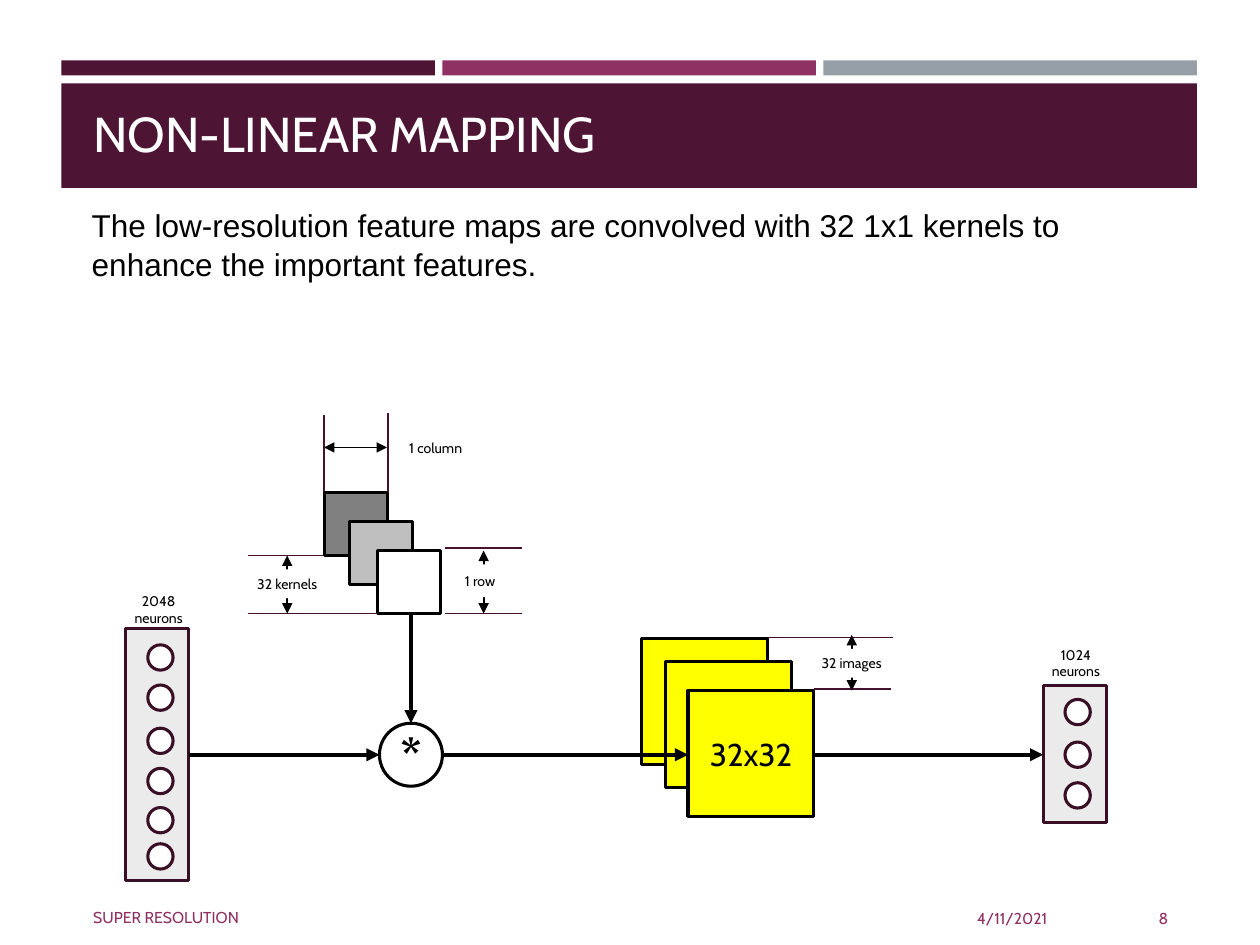
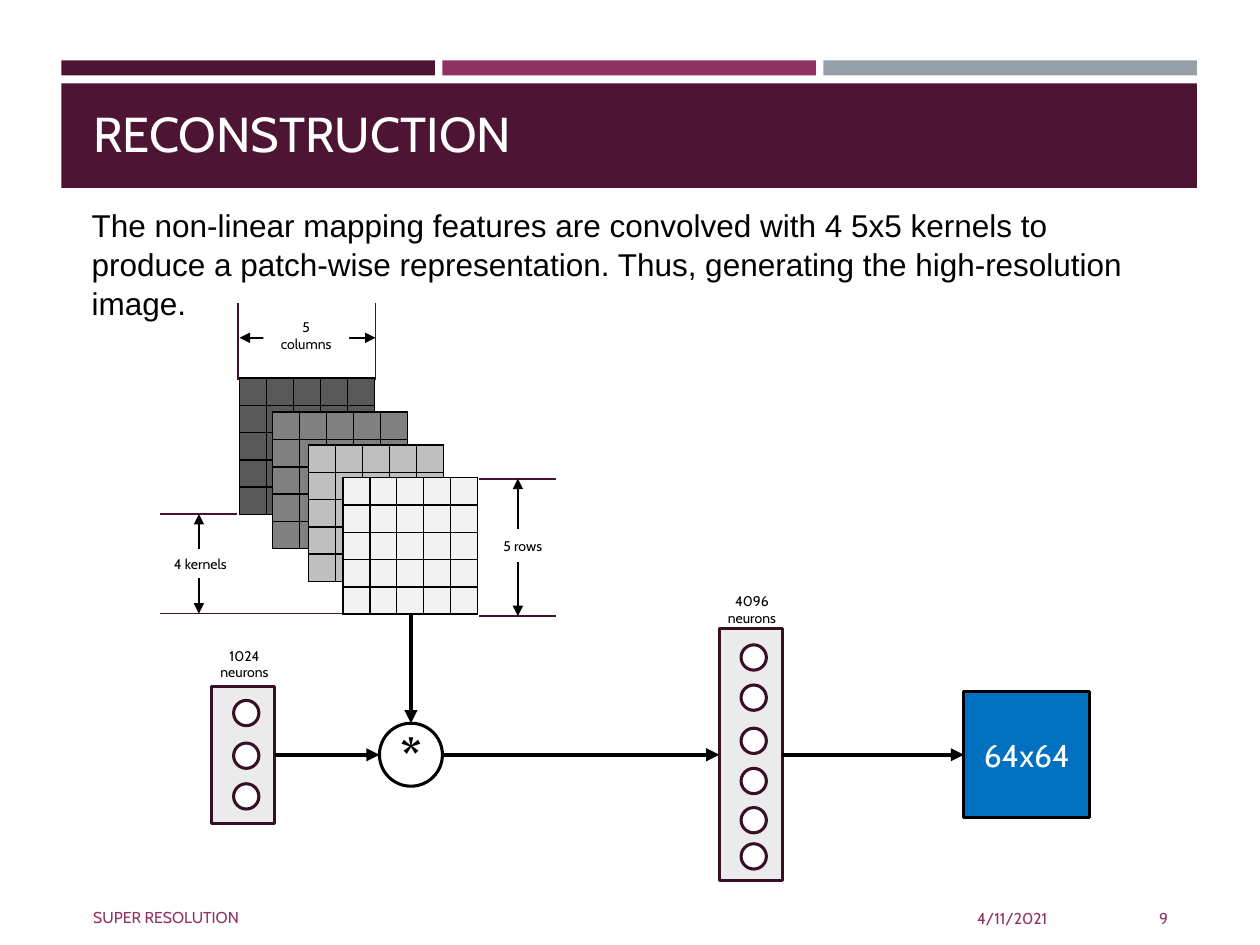
from dataclasses import dataclass

import lxml.etree
import pptx
import pptx.dml.color
import pptx.enum.shapes
import pptx.enum.text
import pptx.oxml.ns
import pptx.util

Cm = pptx.util.Cm
Pt = pptx.util.Pt
SHAPES = pptx.enum.shapes.MSO_SHAPE
ALIGN = pptx.enum.text.PP_ALIGN
ANCHOR = pptx.enum.text.MSO_ANCHOR


@dataclass(frozen=True)
class Theme:
    plum: str = "4D1434"
    magenta: str = "903163"
    steel: str = "969FA7"
    guide: str = "45122F"
    neuron_line: str = "390F26"
    layer_fill: str = "EBEBEB"
    black: str = "000000"
    white: str = "FFFFFF"
    yellow: str = "FFFF00"
    blue: str = "0070C0"
    font: str = "Cabin"
    body_font: str = "Arial"
    title_size: float = 28
    body_size: float = 18
    label_size: float = 8
    footer_size: float = 9
    outline: float = 1.75
    thin: float = 1
    thick: float = 2.5


THEME = Theme()

FOOTER_NAME = "SUPER RESOLUTION"
FOOTER_DATE = "4/11/2021"

LAYER_WIDTH = 1.27
NEURON_LEFT, NEURON_SIZE = 0.44, 0.51
LAYERS = {
    "small": {"height": 2.77, "neurons": (0.28, 1.14, 1.96), "label_height": 0.71},
    "large": {"height": 5.08, "neurons": (0.33, 1.14, 2.01, 2.82, 3.61, 4.34),
              "label_height": 0.84},
}

OPERATOR = (7.65, 14.58, 1.27)
KERNEL_BOTTOM = 12.37
KERNEL_SIZE = 1.27
IMAGE_SIZE = 2.54
GRID_CELLS = 5
GRID_WIDTH, GRID_HEIGHT = 2.72, 2.75

SLIDES = [
    {
        "number": "8",
        "title": "NON-LINEAR MAPPING",
        "body": "The low-resolution feature maps are convolved with 32 1x1 kernels "
                "to enhance the important features.",
        "body_height": 1.8,
        "dimensions": [
            {"text": "32 kernels", "label": (4.8, 11.48, 1.98, 0.58),
             "arrow": (5.79, 11.2, 5.79, 12.37),
             "guides": [(6.55, 11.2, 5, 11.2), (7.57, 12.37, 5, 12.37)]},
            {"text": "1 row", "label": (8.97, 11.38, 1.42, 0.66),
             "arrow": (9.75, 11.1, 9.75, 12.37),
             "guides": [(10.52, 11.05, 8.97, 11.05), (10.52, 12.37, 8.97, 12.37)]},
            {"text": "1 column", "label": (7.92, 8.71, 1.73, 0.66),
             "arrow": (6.53, 9.02, 7.8, 9.02),
             "guides": [(7.82, 8.33, 7.82, 9.91), (6.53, 8.36, 6.53, 9.93)]},
            {"text": "32 images", "label": (16.18, 13.08, 1.98, 0.58),
             "arrow": (17.17, 12.8, 17.17, 13.92),
             "guides": [(18.01, 12.85, 15.47, 12.85), (17.96, 13.89, 16.41, 13.89)]},
        ],
        "kernels": [(6.55, 9.93, "808080"), (7.04, 10.52, "BFBFBF"),
                    (7.62, 11.1, "FFFFFF")],
        "grids": [],
        "images": [(12.93, 12.88, "", THEME.yellow, THEME.black),
                   (13.41, 13.34, "", THEME.yellow, THEME.black),
                   (13.87, 13.92, "32x32", THEME.yellow, THEME.black)],
        "layers": [("large", 2.54, 12.67, "2048 neurons"),
                   ("small", 21.03, 13.82, "1024 neurons")],
        "flows": [(3.81, 7.65), (8.92, 13.87), (16.41, 21.03)],
    },
    {
        "number": "9",
        "title": "RECONSTRUCTION",
        "body": "The non-linear mapping features are convolved with 4 5x5 kernels to "
                "produce a patch-wise representation. Thus, generating the "
                "high-resolution image.",
        "body_height": 2.57,
        "dimensions": [
            {"text": "4 kernels", "label": (3.05, 11.07, 1.98, 0.58),
             "arrow": (4.01, 10.36, 4.01, 12.37),
             "guides": [(4.78, 10.36, 3.23, 10.36), (7.09, 12.37, 3.23, 12.37)]},
            {"text": "5 rows", "label": (9.83, 10.67, 1.42, 0.66),
             "arrow": (10.44, 9.65, 10.44, 12.42),
             "guides": [(11.2, 9.65, 9.65, 9.65), (11.2, 12.42, 9.65, 12.42)]},
            {"text": "5 columns", "label": (5.31, 6.25, 1.73, 1.02),
             "arrow": (4.83, 6.81, 7.57, 6.81),
             "guides": [(7.57, 6.1, 7.57, 7.67), (4.8, 6.1, 4.8, 7.67)]},
        ],
        "kernels": [],
        "grids": [(4.83, 7.62, "595959"), (5.49, 8.31, "808080"),
                  (6.22, 8.97, "BFBFBF"), (6.91, 9.63, "F2F2F2")],
        "images": [(19.43, 13.94, "64x64", THEME.blue, THEME.white)],
        "layers": [("small", 4.27, 13.84, "1024 neurons"),
                   ("large", 14.5, 12.67, "4096 neurons")],
        "flows": [(5.54, 7.65), (8.92, 14.5), (15.77, 19.43)],
    },
]


def rgb(value):
    return pptx.dml.color.RGBColor.from_string(value)


def set_text(shape, text, size, color=THEME.black, font=THEME.font,
             align=ALIGN.CENTER, anchor=ANCHOR.MIDDLE, bold=False):
    frame = shape.text_frame
    frame.text = text
    frame.word_wrap = True
    frame.vertical_anchor = anchor
    paragraph = frame.paragraphs[0]
    paragraph.alignment = align
    for run in paragraph.runs:
        run.font.size = Pt(size)
        run.font.name = font
        run.font.bold = bold
        run.font.color.rgb = rgb(color)
    return frame


def add_text(slide, box, text, size, **style):
    shape = slide.shapes.add_textbox(*map(Cm, box))
    return set_text(shape, text, size, **style)


def add_block(slide, box, fill, line=None, kind=SHAPES.RECTANGLE):
    shape = slide.shapes.add_shape(kind, *map(Cm, box))
    shape.shadow.inherit = False
    shape.fill.solid()
    shape.fill.fore_color.rgb = rgb(fill)
    if line:
        shape.line.color.rgb = rgb(line)
        shape.line.width = Pt(THEME.outline)
    else:
        shape.line.fill.background()
    return shape


def add_line(slide, ends, color, width, arrowheads=()):
    connector = slide.shapes.add_connector(
        pptx.enum.shapes.MSO_CONNECTOR.STRAIGHT, *map(Cm, ends))
    connector.line.color.rgb = rgb(color)
    connector.line.width = Pt(width)
    line = connector.line._get_or_add_ln()
    for end in arrowheads:
        lxml.etree.SubElement(line, pptx.oxml.ns.qn(f"a:{end}"), type="triangle")
    lxml.etree.SubElement(connector._element.spPr, pptx.oxml.ns.qn("a:effectLst"))


def add_frame(slide, content):
    for index, color in enumerate((THEME.plum, THEME.magenta, THEME.steel)):
        add_block(slide, (1.24 + index * 7.68, 1.22, 7.53, 0.3), color)
    add_block(slide, (1.24, 1.68, 22.89, 2.11), THEME.plum)
    add_text(slide, (1.63, 1.9, 22.2, 1.5), content["title"], THEME.title_size,
             color=THEME.white, align=ALIGN.LEFT, anchor=ANCHOR.BOTTOM)
    body = add_text(slide, (1.6, 3.99, 22.2, content["body_height"]), content["body"],
                    THEME.body_size, font=THEME.body_font, align=ALIGN.LEFT,
                    anchor=ANCHOR.TOP)
    body.paragraphs[0].line_spacing = 1.04
    footers = [((1.63, 17.98, 13.54, 1.02), FOOTER_NAME, ALIGN.LEFT),
               ((15.44, 18.01, 5.92, 1.02), FOOTER_DATE, ALIGN.RIGHT),
               ((21.67, 18.01, 2.13, 1.02), content["number"], ALIGN.RIGHT)]
    for box, text, align in footers:
        add_text(slide, box, text, THEME.footer_size, color=THEME.magenta, align=align)


def add_dimension(slide, dimension):
    for guide in dimension["guides"]:
        add_line(slide, guide, THEME.guide, THEME.thin)
    add_line(slide, dimension["arrow"], THEME.black, THEME.thin, ("headEnd", "tailEnd"))
    label = add_block(slide, dimension["label"], THEME.white)
    set_text(label, dimension["text"], THEME.label_size)


def style_grid_cell(cell, fill):
    cell.margin_left = cell.margin_right = cell.margin_top = cell.margin_bottom = 0
    cell.text_frame.paragraphs[0]._p.get_or_add_endParaRPr().set("sz", "400")
    properties = cell._tc.get_or_add_tcPr()
    for side in ("lnL", "lnR", "lnT", "lnB"):
        border = lxml.etree.SubElement(properties, pptx.oxml.ns.qn(f"a:{side}"),
                                       w=str(Pt(THEME.thin)))
        solid = lxml.etree.SubElement(border, pptx.oxml.ns.qn("a:solidFill"))
        lxml.etree.SubElement(solid, pptx.oxml.ns.qn("a:srgbClr"), val=THEME.black)
    cell.fill.solid()
    cell.fill.fore_color.rgb = rgb(fill)


def add_grid(slide, left, top, fill):
    box = (left, top, GRID_WIDTH, GRID_HEIGHT)
    table = slide.shapes.add_table(GRID_CELLS, GRID_CELLS, *map(Cm, box)).table
    for column in table.columns:
        column.width = Cm(GRID_WIDTH / GRID_CELLS)
    for row in table.rows:
        row.height = Cm(GRID_HEIGHT / GRID_CELLS)
    for cell in table.iter_cells():
        style_grid_cell(cell, fill)


def add_layer(slide, kind, left, top, text):
    layer = LAYERS[kind]
    add_block(slide, (left, top, LAYER_WIDTH, layer["height"]),
              THEME.layer_fill, THEME.neuron_line)
    for offset in layer["neurons"]:
        add_block(slide, (left + NEURON_LEFT, top + offset, NEURON_SIZE, NEURON_SIZE),
                  THEME.white, THEME.neuron_line, SHAPES.OVAL)
    add_text(slide, (left - 0.28, top - 0.81, 1.88, layer["label_height"]),
             text, THEME.label_size)


def add_operator(slide):
    left, top, size = OPERATOR
    operator = add_block(slide, (left, top, size, size), THEME.white, THEME.black,
                         SHAPES.FLOWCHART_CONNECTOR)
    frame = set_text(operator, "*", THEME.title_size, bold=True)
    frame.margin_left = frame.margin_right = frame.margin_top = frame.margin_bottom = 0


def add_flows(slide, flows):
    left, top, size = OPERATOR
    center_x, center_y = left + size / 2, top + size / 2
    arrows = [(start, center_y, end, center_y) for start, end in flows]
    arrows.append((center_x, KERNEL_BOTTOM, center_x, top))
    for arrow in arrows:
        add_line(slide, arrow, THEME.black, THEME.thick, ("tailEnd",))


def build_slide(presentation, content):
    slide = presentation.slides.add_slide(presentation.slide_layouts[6])
    add_frame(slide, content)
    for dimension in content["dimensions"]:
        add_dimension(slide, dimension)
    for left, top, fill in content["kernels"]:
        add_block(slide, (left, top, KERNEL_SIZE, KERNEL_SIZE), fill, THEME.black)
    for grid in content["grids"]:
        add_grid(slide, *grid)
    for left, top, text, fill, color in content["images"]:
        image = add_block(slide, (left, top, IMAGE_SIZE, IMAGE_SIZE), fill, THEME.black)
        if text:
            set_text(image, text, THEME.body_size, color)
    for layer in content["layers"]:
        add_layer(slide, *layer)
    add_flows(slide, content["flows"])
    add_operator(slide)


def main():
    presentation = pptx.Presentation()
    presentation.slide_width = Cm(25.4)
    presentation.slide_height = Cm(19.05)
    for content in SLIDES:
        build_slide(presentation, content)
    presentation.save("out.pptx")


if __name__ == "__main__":
    main()
